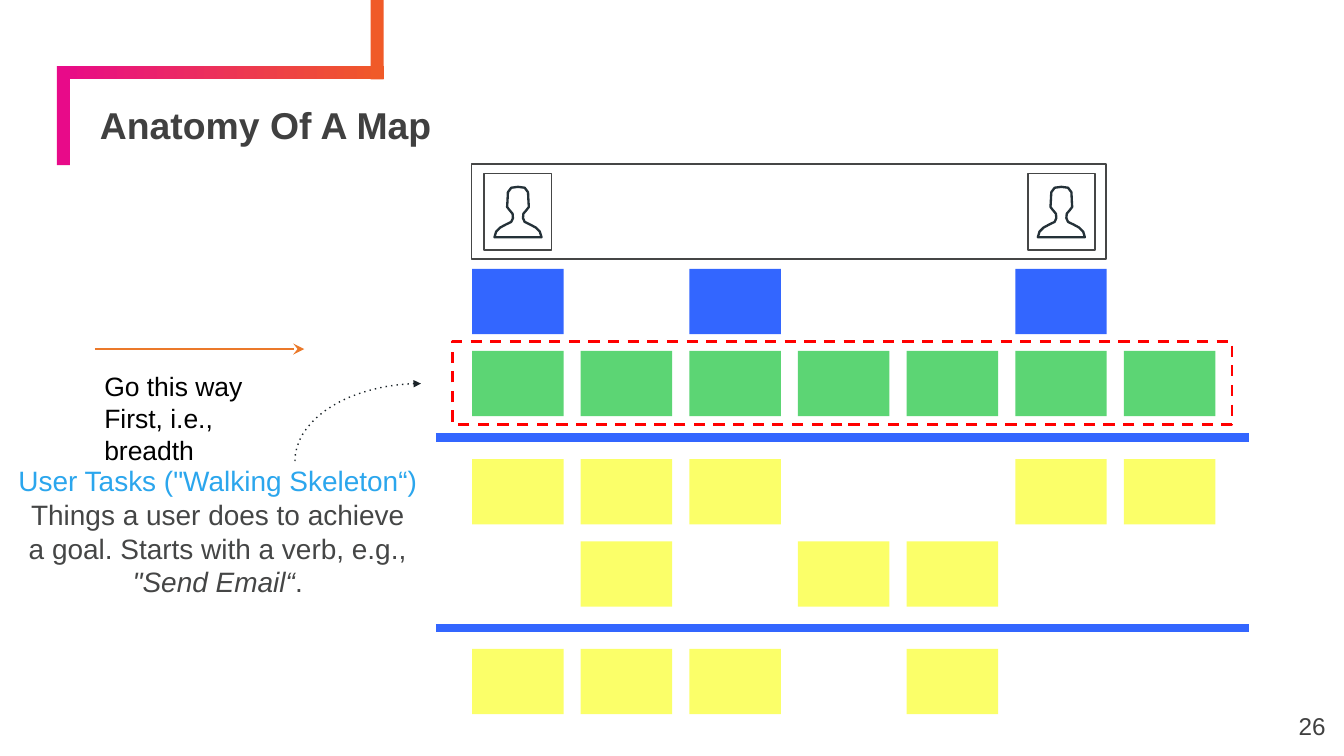
import math

from pptx import Presentation
from pptx import util as u
from pptx.dml.color import RGBColor
from pptx.enum import dml, shapes, text
from pptx.oxml.ns import qn
from lxml import etree

Pt = u.Pt
FONT = "Arial"
DARK, GREY = "404040", "454646"
PINK, ORANGE = "E80A89", "F05A28"
BLUE, GREEN, YELLOW = "3366FF", "5CD574", "FBFF69"

GRID_LEFT, PITCH = 252.9, 58.2
CARD_W, CARD_H = 49, 35
# (top, colour, filled columns)
CARD_ROWS = [
    (144, BLUE, [0, 2, 5]),
    (246, YELLOW, [0, 1, 2, 5, 6]),
    (290, YELLOW, [1, 3, 4]),
    (347.6, YELLOW, [0, 1, 2, 4]),
    (188, GREEN, range(7)),
]
# Right half of the bust, from the crown down, relative to the crown
HALF_BUST = [(0, 0), (3.6, 0.5), (5.4, 2.9), (5.6, 7.5), (5.8, 10.8),
             (4.6, 12.4), (2.9, 14.4), (2.7, 16.8), (3.6, 18.8),
             (6.5, 20.2), (9.5, 21.8), (11.7, 24), (12.6, 27)]


def rgb(value):
    return RGBColor.from_string(value)


class Deck:
    def __init__(self, slide):
        self.s = slide

    def outline(self, sp, color, width, dash=None):
        sp.line.color.rgb = rgb(color)
        sp.line.width = Pt(width)
        if dash:
            sp.line.dash_style = dash

    def arrowhead(self, sp, kind, size):
        etree.SubElement(sp.line._get_or_add_ln(), qn("a:tailEnd"),
                         type=kind, w=size, len=size)

    def rect(self, x, y, w, h, fill=None, line=None, width=1, dash=None):
        sp = self.s.shapes.add_shape(shapes.MSO_SHAPE.RECTANGLE,
                                     Pt(x), Pt(y), Pt(w), Pt(h))
        sp.shadow.inherit = False
        if fill:
            sp.fill.solid()
            sp.fill.fore_color.rgb = rgb(fill)
        else:
            sp.fill.background()
        if line:
            self.outline(sp, line, width, dash)
        else:
            sp.line.fill.background()
        return sp

    def gradient_rect(self, x, y, w, h, start, end):
        sp = self.rect(x, y, w, h, start)
        sp.fill.gradient()
        sp.fill.gradient_angle = 0
        for stop, color in zip(sp.fill.gradient_stops, (start, end)):
            stop.color.rgb = rgb(color)

    def line(self, x1, y1, x2, y2, color, width):
        sp = self.s.shapes.add_connector(shapes.MSO_CONNECTOR.STRAIGHT,
                                         Pt(x1), Pt(y1), Pt(x2), Pt(y2))
        etree.SubElement(sp._element.spPr, qn("a:effectLst"))
        self.outline(sp, color, width)
        return sp

    def polyline(self, points, color, width, close=False):
        pts = [(Pt(x), Pt(y)) for x, y in points]
        fb = self.s.shapes.build_freeform(*pts[0])
        fb.add_line_segments(pts[1:], close=close)
        sp = fb.convert_to_shape()
        sp.shadow.inherit = False
        sp.fill.background()
        self.outline(sp, color, width)
        return sp

    def title(self, value, x, y, w, h):
        sp = self.s.shapes.title
        sp.left, sp.top, sp.width, sp.height = Pt(x), Pt(y), Pt(w), Pt(h)
        tf = sp.text_frame
        tf.text = value
        tf.auto_size = text.MSO_AUTO_SIZE.NONE
        tf.vertical_anchor = text.MSO_ANCHOR.MIDDLE
        tf.margin_left = tf.margin_right = Pt(5)
        tf.margin_top = tf.margin_bottom = Pt(3)
        p = tf.paragraphs[0]
        p.alignment = text.PP_ALIGN.LEFT
        p.line_spacing = 0.9
        self.font(p, 20, DARK)
        p.font.bold = True

    def font(self, p, size, color):
        p.font.name = FONT
        p.font.size = Pt(size)
        p.font.color.rgb = rgb(color)

    def text(self, x, y, w, h, size, color, runs, align="LEFT", margins=(0, 0)):
        """Add a text box; runs are (words, colour, italic), None breaks the line."""
        tf = self.s.shapes.add_textbox(Pt(x), Pt(y), Pt(w), Pt(h)).text_frame
        tf.word_wrap = True
        tf.margin_left = tf.margin_right = Pt(margins[0])
        tf.margin_top = tf.margin_bottom = Pt(margins[1])
        p = tf.paragraphs[0]
        p.alignment = text.PP_ALIGN[align]
        self.font(p, size, color)
        for run in runs:
            if run is None:
                p.add_line_break()
                continue
            words, run_color, italic = run
            r = p.add_run()
            r.text = words
            if run_color:
                r.font.color.rgb = rgb(run_color)
            if italic:
                r.font.italic = True

    def persona(self, x, y):
        self.rect(x, y, 36, 41, line=GREY)
        mirrored = [(-dx, dy) for dx, dy in HALF_BUST[:0:-1]]
        self.polyline([(x + 18 + dx, y + 7.1 + dy) for dx, dy in HALF_BUST + mirrored],
                      "243138", 1.25, close=True)


def main():
    prs = Presentation()
    prs.slide_width, prs.slide_height = Pt(720), Pt(405)
    d = Deck(prs.slides.add_slide(prs.slide_layouts[5]))

    d.gradient_rect(30.5, 35.5, 175, 7, PINK, ORANGE)
    d.rect(30.5, 35.5, 7, 53, PINK)
    d.rect(198.5, 0, 7, 42.5, ORANGE)
    d.title("Anatomy Of A Map", 48.5, 56.2, 650, 24.5)

    for top, color, columns in CARD_ROWS:
        for col in columns:
            d.rect(GRID_LEFT + col * PITCH, top, CARD_W, CARD_H, color)
    for y in (234.5, 336.4):
        d.line(233.5, y, 669.3, y, BLUE, 4.5)

    d.rect(252.6, 87.8, 340, 51.2, line=GREY)
    for x in (259.5, 550.6):
        d.persona(x, 93)

    d.rect(242.5, 183, 417.6, 44.5, line="FF0000", width=1.5,
           dash=dml.MSO_LINE.DASH)
    d.text(8, 248.5, 217.4, 73.4, 15, GREY, [
        ("User Tasks (\"Walking Skeleton“) ", "2BA6ED", False),
        ("Things a user does to achieve", None, False),
        None,
        ("a goal. Starts with a verb, e.g., ", None, False),
        ("\"Send Email“", None, True),
        (".", None, False),
    ], align="CENTER")

    # Dotted quarter ellipse from the note to the task row
    angles = [math.radians(a) for a in range(0, 91, 5)]
    curve = d.polyline([(225.5 - 67.5 * math.cos(a), 247 - 41.5 * math.sin(a))
                        for a in angles], "1B2429", 0.75)
    etree.SubElement(curve.line._get_or_add_ln(), qn("a:prstDash"), val="dot")
    d.arrowhead(curve, "triangle", "sm")

    d.arrowhead(d.line(50.9, 187, 163, 187, "EB792A", 1.5), "stealth", "med")
    d.text(50.9, 195.2, 117.4, 57.6, 14.2, "000000",
           [("Go this way First, i.e., breadth", None, False)], margins=(5, 3))
    d.text(674, 373.7, 43.2, 31, 13, DARK, [("26", None, False)],
           align="RIGHT", margins=(7.2, 7.2))

    prs.save("out.pptx")


if __name__ == "__main__":
    main()
